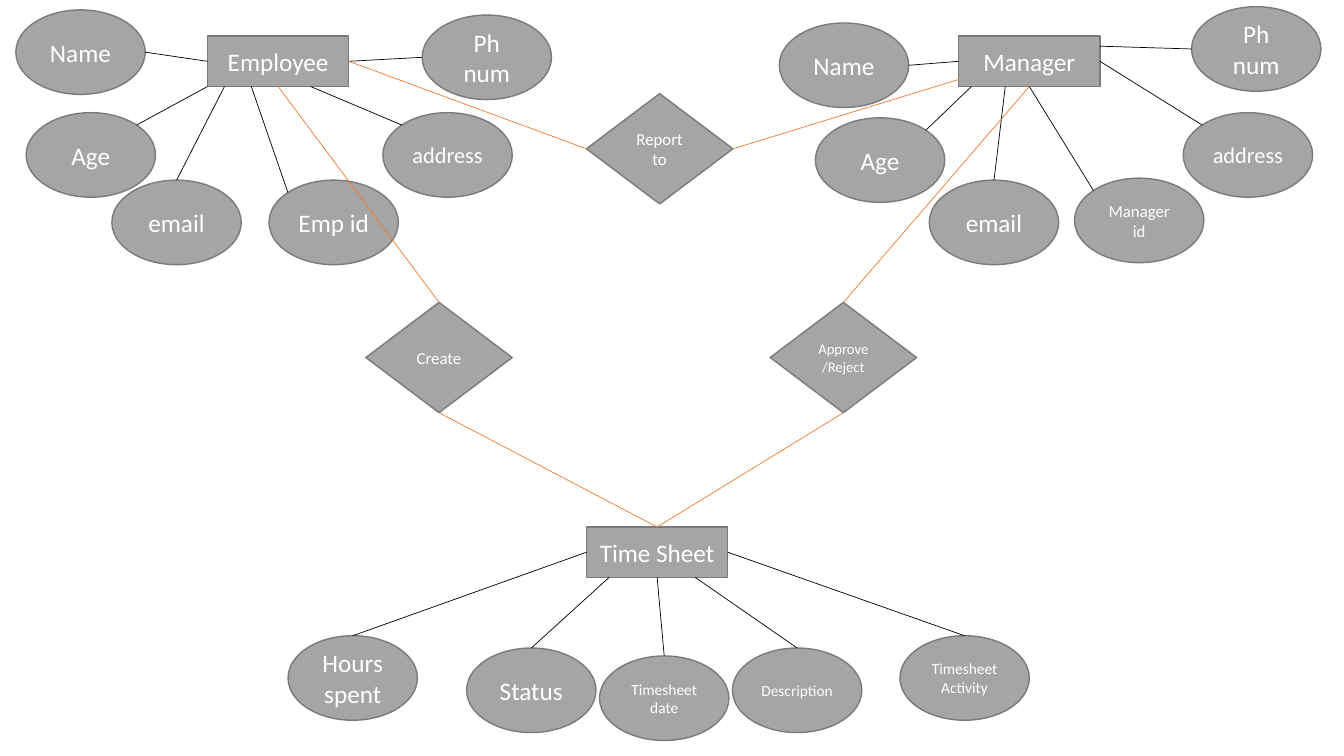
import pptx
import pptx.dml.color
import pptx.enum.shapes
import pptx.enum.text
import pptx.oxml.ns
import pptx.util
import lxml.etree
import dataclasses

Cm = pptx.util.Cm
Pt = pptx.util.Pt
Rgb = pptx.dml.color.RGBColor
Kind = pptx.enum.shapes.MSO_SHAPE


@dataclasses.dataclass(frozen=True)
class Theme:
    """Hold the colours, type sizes and shape sizes of the diagram."""
    fill: Rgb = Rgb(0xA5, 0xA5, 0xA5)
    edge: Rgb = Rgb(0x7A, 0x7A, 0x7A)
    ink: Rgb = Rgb(0xFF, 0xFF, 0xFF)
    wire: Rgb = Rgb(0, 0, 0)
    link: Rgb = Rgb(0xED, 0x7D, 0x31)
    font: str = "Calibri"
    big: float = 18
    mid: float = 16
    small: float = 12
    fine: float = 11
    tiny: float = 10.5
    rect: tuple = (3.56, 1.27)
    oval: tuple = (3.26, 2.13)
    gem: tuple = (3.69, 2.78)


look = Theme()

N, S, W, E = (0.5, 0), (0.5, 1), (0, 0.5), (1, 0.5)
NW, NE, SW = (0.146, 0.146), (0.854, 0.146), (0, 1)

STAFF = [
    ("Name", look.big, (-4.83, -0.66), W, E),
    ("Age", look.big, (-4.57, 1.93), SW, NE),
    ("email", look.big, (-2.41, 3.63), (0.12, 1), N),
    ("Emp id", look.big, (1.55, 3.63), (0.31, 1), NW),
    ("address", look.mid, (4.42, 1.93), (0.73, 1), NW),
    ("Ph num", look.big, (5.41, -0.53), E, W),
]
BOSS = [
    ("Name", look.big, (-4.52, -0.33), W, E),
    ("Age", look.big, (-3.61, 2.06), (0.09, 1), NE),
    ("email", look.big, (-0.74, 3.63), (0.33, 1), N),
    ("Manager id", look.small, (2.92, 3.58), S, NW),
    ("address", look.mid, (5.66, 1.93), E, NW),
    ("Ph num", look.big, (5.87, -0.74), (1, 0.2), W),
]
SHEET = [
    ("Hours spent", look.big, (-7.52, 2.74), W, N),
    ("Status", look.big, (-3.02, 3.05), (0.16, 1), N),
    ("Timesheet\ndate", look.fine, (0.33, 3.25), S, N),
    ("Description", look.fine, (3.68, 3.05), (0.77, 1), N),
    ("Timesheet Activity", look.fine, (7.9, 2.74), E, N),
]


def put(thing, values):
    """Set each named value on a thing."""
    for name, value in values.items():
        setattr(thing, name, value)


def node(slide, kind, box, text, size):
    """Draw a labelled shape that fills the box."""
    shape = slide.shapes.add_shape(kind, *map(Cm, box))
    shape.shadow.inherit = False
    shape.fill.solid()
    shape.fill.fore_color.rgb = look.fill
    shape.line.color.rgb = look.edge
    shape.line.width = Pt(1)
    frame = shape.text_frame
    put(frame, {"text": text, "word_wrap": True,
                "vertical_anchor": pptx.enum.text.MSO_ANCHOR.MIDDLE})
    for para in frame.paragraphs:
        para.alignment = pptx.enum.text.PP_ALIGN.CENTER
        put(para.font, {"name": look.font, "size": Pt(size)})
        para.font.color.rgb = look.ink


def spot(box, site):
    """Return the point at a fractional site of the box."""
    left, top, width, height = box
    return Cm(left + width * site[0]), Cm(top + height * site[1])


def join(slide, start, leave, end, reach, colour):
    """Draw a thin line between sites of two boxes."""
    line = slide.shapes.add_connector(
        pptx.enum.shapes.MSO_CONNECTOR.STRAIGHT,
        *spot(start, leave), *spot(end, reach))
    line.line.color.rgb = colour
    line.line.width = Pt(0.5)
    lxml.etree.SubElement(line._element.spPr,
                          pptx.oxml.ns.qn("a:effectLst"))


def entity(slide, box, name, traits):
    """Draw an entity in its box with its attributes around it."""
    node(slide, Kind.RECTANGLE, box, name, look.big)
    for text, size, shift, leave, reach in traits:
        oval = (box[0] + shift[0], box[1] + shift[1], *look.oval)
        node(slide, Kind.OVAL, oval, text, size)
        join(slide, box, leave, oval, reach, look.wire)


def bond(slide, box, name, size, links):
    """Draw a relation in its box and link it to its entities."""
    node(slide, Kind.DIAMOND, box, name, size)
    for site, other, reach in links:
        join(slide, box, site, other, reach, look.link)


def main():
    """Build and save the diagram."""
    deck = pptx.Presentation()
    put(deck, {"slide_width": Cm(33.87), "slide_height": Cm(19.05)})
    slide = deck.slides.add_slide(deck.slide_layouts[6])
    staff = (5.23, 0.91, *look.rect)
    boss = (24.16, 0.91, *look.rect)
    sheet = (14.78, 13.28, *look.rect)
    entity(slide, staff, "Employee", STAFF)
    entity(slide, boss, "Manager", BOSS)
    entity(slide, sheet, "Time Sheet", SHEET)
    bond(slide, (14.78, 2.36, *look.gem), "Report to", look.small,
         [(W, staff, E), (E, boss, (0, 0.86))])
    bond(slide, (9.22, 7.62, *look.gem), "Create", look.small,
         [(N, staff, S), (S, sheet, N)])
    bond(slide, (19.41, 7.62, *look.gem), "Approve/Reject", look.tiny,
         [(N, boss, S), (S, sheet, N)])
    deck.save("out.pptx")


if __name__ == "__main__":
    main()
